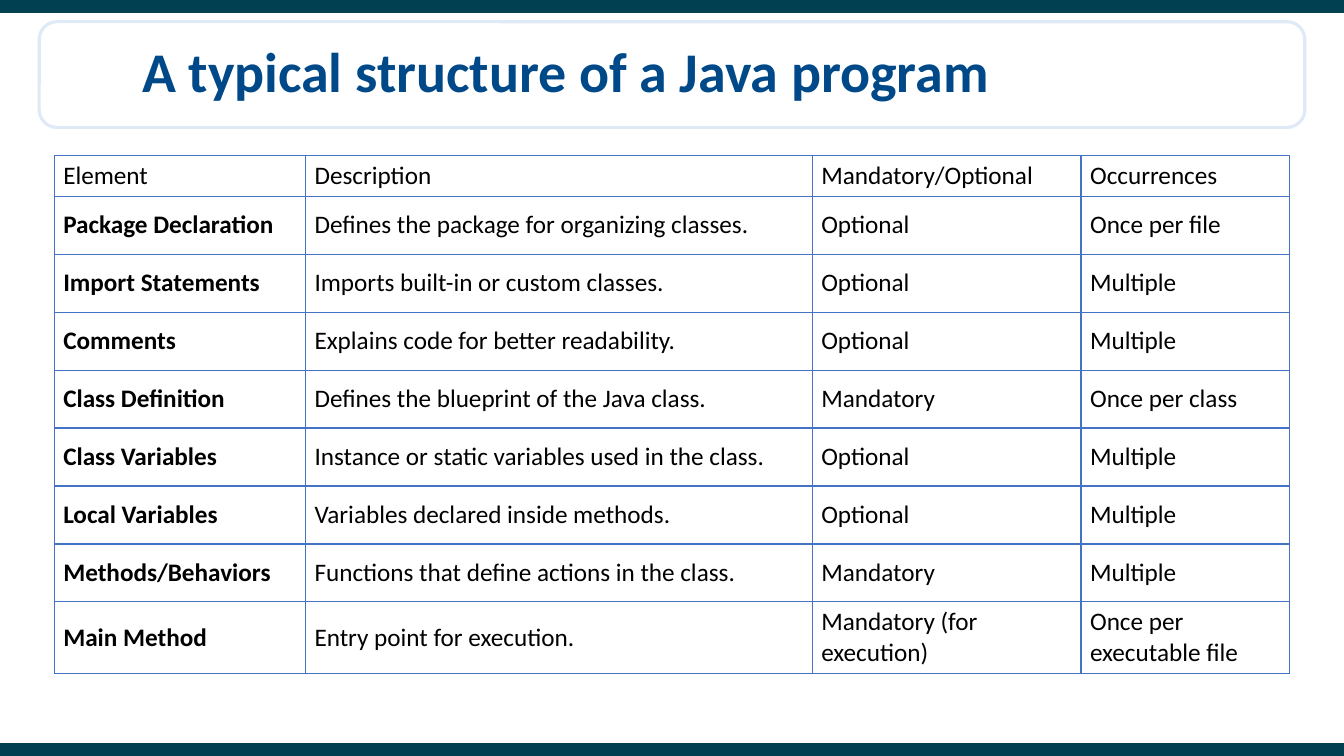
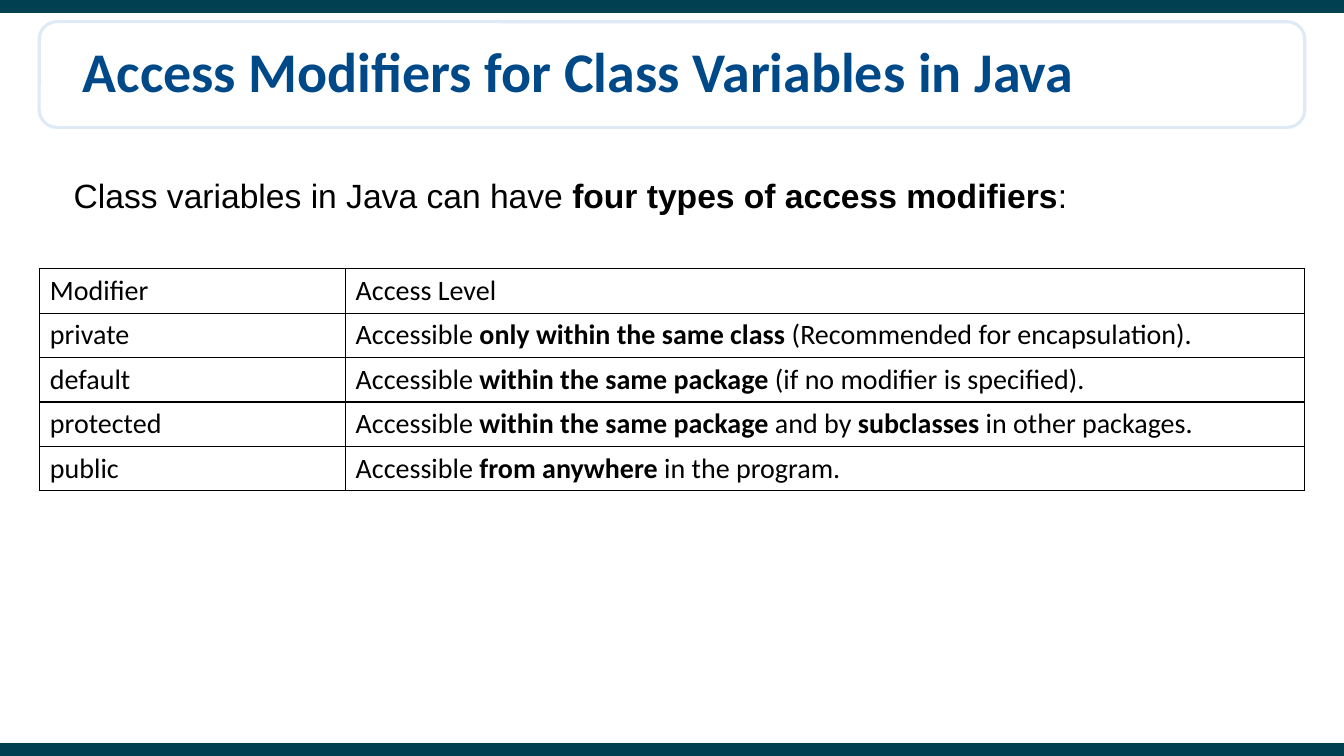
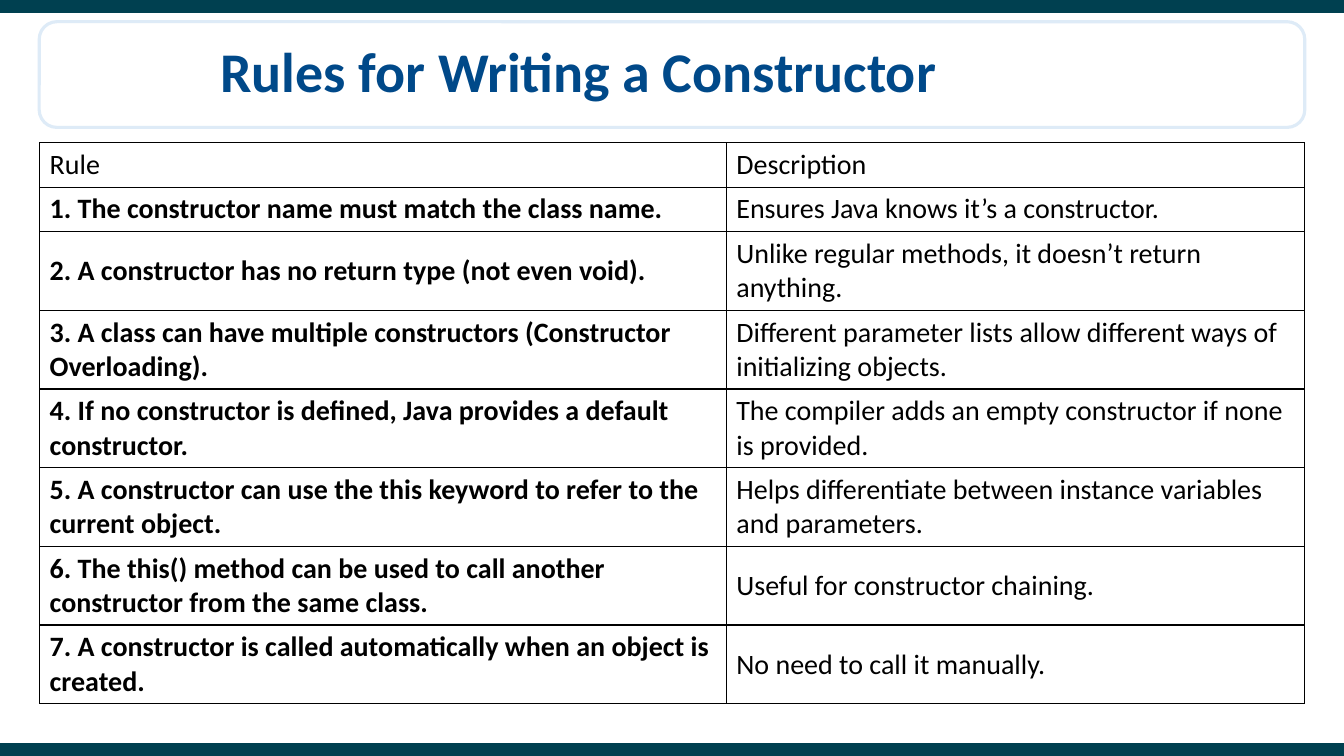
from lxml.etree import SubElement
from pptx import Presentation
from pptx.dml.color import RGBColor
from pptx.enum.shapes import MSO_CONNECTOR, MSO_SHAPE
from pptx.enum.text import MSO_ANCHOR as Anchor, PP_ALIGN as Align
from pptx.oxml.ns import qn
from pptx.util import Pt

WHITE = RGBColor(0xFF, 0xFF, 0xFF)
BLACK = RGBColor(0x00, 0x00, 0x00)
NAVY = RGBColor(0x00, 0x49, 0x89)
TEAL = RGBColor(0x00, 0x40, 0x50)
PALE_BLUE = RGBColor(0xDE, 0xEB, 0xF7)
BLUE = RGBColor(0x44, 0x72, 0xC4)

SLIDE_WIDTH, SLIDE_HEIGHT = 960, 540
BAND_WIDTH = 9
ONE_LINE, TWO_LINES = 31.7, 56.1

PROGRAM_ROWS = [
    ("Element", "Description", "Mandatory/Optional", "Occurrences"),
    ("**Package Declaration**", "Defines the package for organizing classes.",
     "Optional", "Once per file"),
    ("**Import Statements**", "Imports built-in or custom classes.",
     "Optional", "Multiple"),
    ("**Comments**", "Explains code for better readability.",
     "Optional", "Multiple"),
    ("**Class Definition**", "Defines the blueprint of the Java class.",
     "Mandatory", "Once per class"),
    ("**Class Variables**", "Instance or static variables used in the class.",
     "Optional", "Multiple"),
    ("**Local Variables**", "Variables declared inside methods.",
     "Optional", "Multiple"),
    ("**Methods/Behaviors**", "Functions that define actions in the class.",
     "Mandatory", "Multiple"),
    ("**Main Method**", "Entry point for execution.",
     "Mandatory (for execution)", "Once per executable file"),
]

MODIFIER_ROWS = [
    ("Modifier", "Access Level"),
    ("private",
     "Accessible **only within the same class** (Recommended for encapsulation)."),
    ("default",
     "Accessible **within the same package** (if no modifier is specified)."),
    ("protected",
     "Accessible **within the same package** and by **subclasses** in other packages."),
    ("public", "Accessible **from anywhere** in the program."),
]

CONSTRUCTOR_ROWS = [
    ("Rule", "Description"),
    ("**1. The constructor name must match the class name.**",
     "Ensures Java knows it’s a constructor."),
    ("**2. A constructor has no return type (not even void).**",
     "Unlike regular methods, it doesn’t return anything."),
    ("**3. A class can have multiple constructors (Constructor Overloading).**",
     "Different parameter lists allow different ways of initializing objects."),
    ("**4. If no constructor is defined, Java provides a default constructor.**",
     "The compiler adds an empty constructor if none is provided."),
    ("**5. A constructor can use the this keyword to refer to the current object.**",
     "Helps differentiate between instance variables and parameters."),
    ("**6. The this() method can be used to call another constructor from the same class.**",
     "Useful for constructor chaining."),
    ("**7. A constructor is called automatically when an object is created.**",
     "No need to call it manually."),
]


def write_text(frame, text, size, font="Calibri", color=BLACK, align=Align.LEFT,
               line_spacing=1.0):
    """Fill the frame with one paragraph; parts between ** marks are bold."""
    paragraph = frame.paragraphs[0]
    paragraph.alignment = align
    paragraph.line_spacing = line_spacing
    for index, part in enumerate(text.split("**")):
        if part:
            run = paragraph.add_run()
            run.text = part
            run.font.name = font
            run.font.size = Pt(size)
            run.font.bold = index % 2 == 1
            run.font.color.rgb = color


def set_borders(cell, color):
    properties = cell._tc.get_or_add_tcPr()
    for side in ("lnL", "lnR", "lnT", "lnB"):
        line = SubElement(properties, qn(f"a:{side}"), w=str(Pt(1)))
        fill = SubElement(line, qn("a:solidFill"))
        SubElement(fill, qn("a:srgbClr"), val=str(color))


class Deck:
    """Holds the shared style and the slide being built."""

    def __init__(self):
        self.presentation = Presentation()
        self.presentation.slide_width = Pt(SLIDE_WIDTH)
        self.presentation.slide_height = Pt(SLIDE_HEIGHT)
        self.slide = None

    def add_slide(self, title, right_inset=7.2):
        layout = self.presentation.slide_layouts.get_by_name("Title Only")
        self.slide = self.presentation.slides.add_slide(layout)
        self.add_title_frame()
        self.add_band(BAND_WIDTH / 2)
        self.add_band(SLIDE_HEIGHT - BAND_WIDTH / 2)
        self.add_title(title, right_inset)

    def add_title_frame(self):
        frame = self.slide.shapes.add_shape(
            MSO_SHAPE.ROUNDED_RECTANGLE, Pt(28), Pt(15.5), Pt(904), Pt(75.5))
        frame.shadow.inherit = False
        frame.fill.solid()
        frame.fill.fore_color.rgb = WHITE
        frame.line.color.rgb = PALE_BLUE
        frame.line.width = Pt(2.25)

    def add_band(self, y):
        band = self.slide.shapes.add_connector(
            MSO_CONNECTOR.STRAIGHT, 0, Pt(y), Pt(SLIDE_WIDTH), Pt(y))
        band.line.color.rgb = TEAL
        band.line.width = Pt(BAND_WIDTH)
        SubElement(band.element.spPr, qn("a:effectLst"))

    def add_title(self, text, right_inset):
        title = self.slide.shapes.title
        self.slide.shapes.element.append(title.element)  # in front of its frame
        title.left, title.top = Pt(28), Pt(16.5)
        title.width, title.height = Pt(770), Pt(73.5)
        frame = title.text_frame
        frame.vertical_anchor = Anchor.MIDDLE
        frame.margin_right = Pt(right_inset)
        write_text(frame, f"**{text}**", size=40, color=NAVY,
                   align=Align.CENTER, line_spacing=0.9)

    def add_text(self, text, left, top, width, height, **style):
        box = self.slide.shapes.add_textbox(Pt(left), Pt(top), Pt(width), Pt(height))
        box.text_frame.word_wrap = True
        box.text_frame.vertical_anchor = Anchor.MIDDLE
        write_text(box.text_frame, text, **style)

    def add_table(self, rows, left, top, widths, heights, size=20,
                  border=BLACK, side_inset=7.2):
        table = self.slide.shapes.add_table(
            len(rows), len(widths), Pt(left), Pt(top),
            Pt(sum(widths)), Pt(sum(heights))).table
        table.first_row = table.horz_banding = False
        for column, width in zip(table.columns, widths):
            column.width = Pt(width)
        for row, height, texts in zip(table.rows, heights, rows):
            row.height = Pt(height)
            for cell, text in zip(row.cells, texts):
                cell.vertical_anchor = Anchor.MIDDLE
                cell.margin_left = cell.margin_right = Pt(side_inset)
                set_borders(cell, border)
                cell.fill.background()
                write_text(cell.text_frame, text, size)


def main():
    deck = Deck()

    deck.add_slide("A typical structure of a Java program", right_inset=25.2)
    deck.add_table(PROGRAM_ROWS, 38.7, 111, widths=[179.5, 362, 192, 149],
                   heights=[28.6] + [41.4] * 7 + [50.8], size=18,
                   border=BLUE, side_inset=6.5)

    deck.add_slide("Access Modifiers for Class Variables in Java")
    deck.add_table(MODIFIER_ROWS, 28.5, 192, widths=[218.4, 685.2],
                   heights=[ONE_LINE] * len(MODIFIER_ROWS))
    deck.add_text("Class variables in Java can have **four types of access modifiers**:",
                  45.5, 121, 790, 36, size=24, font="Arial")

    deck.add_slide("Rules for Writing a Constructor")
    deck.add_table(CONSTRUCTOR_ROWS, 28.3, 102, widths=[490.5, 413],
                   heights=[ONE_LINE] * 2 + [TWO_LINES] * 6)

    deck.presentation.save("out.pptx")


if __name__ == "__main__":
    main()
